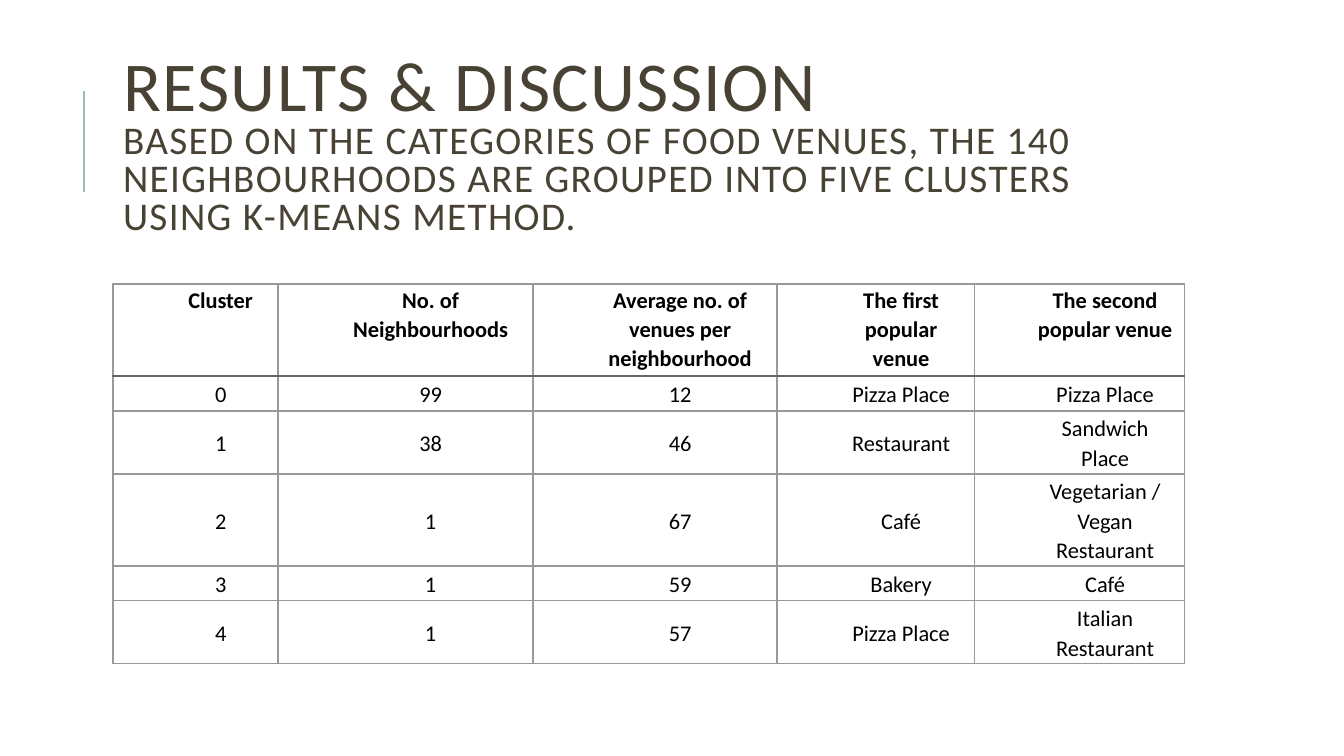
import pptx
import pptx.dml.color
import pptx.enum.text
import pptx.oxml
import pptx.oxml.ns
import pptx.util
from dataclasses import dataclass

Pt = pptx.util.Pt
RGB = pptx.dml.color.RGBColor
Align = pptx.enum.text.PP_ALIGN
Anchor = pptx.enum.text.MSO_ANCHOR
Fit = pptx.enum.text.MSO_AUTO_SIZE
NS = pptx.oxml.ns.nsdecls("a")


@dataclass(frozen=True)
class Theme:
    font: str = "Calibri"
    head: str = "474233"
    body: str = "000000"
    rule: str = "9CBEBD"
    grid: str = "999999"
    dark: str = "666666"
    big: int = 50
    sub: int = 28
    cell: int = 16


def px(n):
    return pptx.util.Emu(round(n * 914400 / 100.8))


def apply(item, form):
    for name, value in form.items():
        setattr(item, name, value)


class Deck:
    def __init__(self, theme):
        self.theme = theme
        self.file = pptx.Presentation()
        apply(self.file, {"slide_width": px(1344), "slide_height": px(756)})
        self.slide = self.file.slides.add_slide(self.file.slide_layouts[5])

    def run(self, para, text, size, color, bold=False):
        run = para.add_run()
        run.text = text
        apply(run.font, {"name": self.theme.font, "size": Pt(size), "bold": bold})
        run.font.color.rgb = RGB.from_string(color)
        return run

    def rule(self, x, start, end):
        line = self.slide.shapes.add_connector(1, px(x), px(start), px(x), px(end))
        line.line.color.rgb = RGB.from_string(self.theme.rule)
        line.line.width = Pt(1.5)
        line._element.spPr.append(pptx.oxml.parse_xml(f"<a:effectLst {NS}/>"))

    def title(self, box, head, sub):
        shape = self.slide.shapes.title
        apply(shape, dict(zip(("left", "top", "width", "height"), map(px, box))))
        apply(shape.text_frame, {
            "auto_size": Fit.NONE, "word_wrap": True, "vertical_anchor": Anchor.MIDDLE})
        para = shape.text_frame.paragraphs[0]
        apply(para, {"alignment": Align.LEFT, "line_spacing": 0.8})
        first = self.run(para, head, self.theme.big, self.theme.head)
        para.add_line_break()
        last = self.run(para, sub, self.theme.sub, self.theme.head)
        for run in (first, last):
            run._r.get_or_add_rPr().set("spc", "100")

    def edge(self, cell, side, color, width):
        cell._tc.get_or_add_tcPr().append(pptx.oxml.parse_xml(
            f'<a:ln{side} {NS} w="{Pt(width)}"><a:solidFill>'
            f'<a:srgbClr val="{color}"/></a:solidFill></a:ln{side}>'))

    def fill(self, cell, text, row, col, final):
        apply(cell, {
            "margin_left": px(10), "margin_right": px(10),
            "margin_top": px(1), "margin_bottom": 0,
            "vertical_anchor": Anchor.MIDDLE if row else Anchor.TOP})
        para = cell.text_frame.paragraphs[0]
        apply(para, {
            "alignment": Align.CENTER, "line_spacing": 1.07,
            "space_before": Pt(0 if col else 6),
            "space_after": Pt(6 if final else 0)})
        pad = para._p.get_or_add_pPr()
        pad.set("marL", str(pptx.util.Inches(0.5)))
        pad.set("indent", "0")
        self.run(para, text, self.theme.cell, self.theme.body, row == 0)
        for side in "LRTB":
            thick = (row, side) in ((0, "B"), (1, "T"))
            color = self.theme.dark if thick else self.theme.grid
            self.edge(cell, side, color, 1.5 if thick else 1)
        cell.fill.background()

    def table(self, left, top, wide, high, data):
        frame = self.slide.shapes.add_table(
            len(high), len(wide), px(left), px(top), px(sum(wide)), px(sum(high)))
        table = frame.table
        apply(table, {"first_row": False, "horz_banding": False})
        for column, width in zip(table.columns, wide):
            column.width = px(width)
        for line, height in zip(table.rows, high):
            line.height = px(height)
        for row, texts in enumerate(data):
            for col, text in enumerate(texts):
                self.fill(table.cell(row, col), text, row, col, col == len(wide) - 1)


def main():
    deck = Deck(Theme())
    deck.rule(84, 192, 91)
    deck.title(
        (113, 65, 1072, 165), "RESULTS & DISCUSSION",
        "BASED ON THE CATEGORIES OF FOOD VENUES, THE 140 NEIGHBOURHOODS "
        "ARE GROUPED INTO FIVE CLUSTERS USING K-MEANS METHOD.")
    deck.table(113, 284, (165, 255, 244, 198, 210), (92, 35, 63, 92, 35, 63), (
        ("Cluster", "No. of Neighbourhoods", "Average no. of venues per neighbourhood",
         "The first popular venue", "The second popular venue"),
        ("0", "99", "12", "Pizza Place", "Pizza Place"),
        ("1", "38", "46", "Restaurant", "Sandwich Place"),
        ("2", "1", "67", "Café", "Vegetarian / Vegan Restaurant"),
        ("3", "1", "59", "Bakery", "Café"),
        ("4", "1", "57", "Pizza Place", "Italian Restaurant")))
    deck.file.save("out.pptx")


if __name__ == "__main__":
    main()
